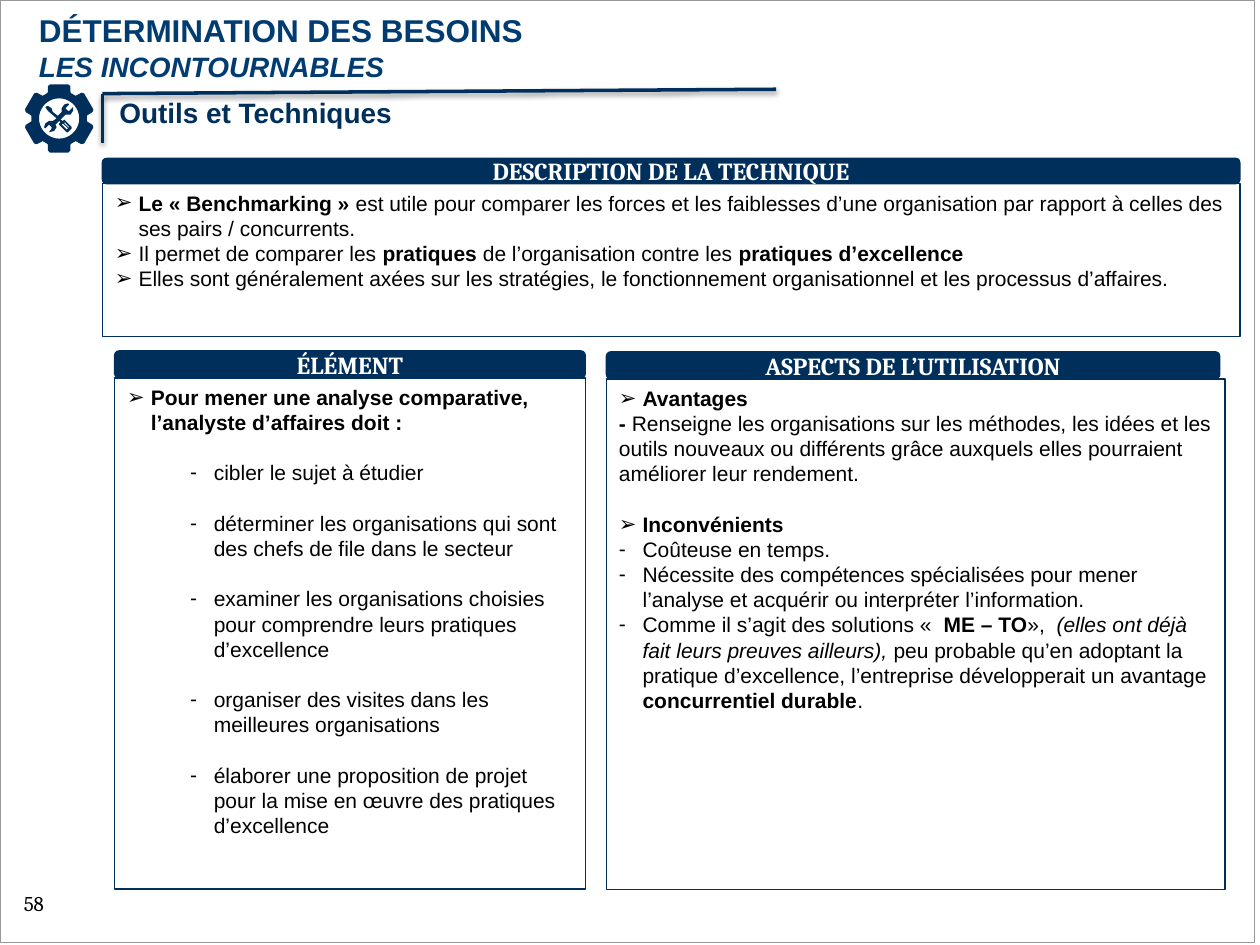
from math import cos, radians, sin

from lxml.etree import SubElement
from pptx import Presentation
from pptx.dml.color import RGBColor
from pptx.enum.shapes import MSO_CONNECTOR, MSO_SHAPE as Shape
from pptx.enum.text import MSO_ANCHOR as Anchor, MSO_AUTO_SIZE as Auto, PP_ALIGN as Align
from pptx.oxml import parse_xml
from pptx.oxml.ns import nsdecls, qn
from pptx.util import Pt

HEX = {"navy": "002F5C", "title": "003C71", "white": "FFFFFF",
       "black": "000000", "frame": "97999B"}
RGB = {name: RGBColor.from_string(code) for name, code in HEX.items()}


def write(para, runs, size, color="black", face="Arial"):
    """Add (text, style) runs, where style holds b for bold and i for italic."""
    for text, style in runs:
        run = para.add_run()
        run.text = text
        font = run.font
        font.name, font.size = face, Pt(size)
        font.bold, font.italic = "b" in style, "i" in style
        font.color.rgb = RGB[color]


def draw(loops):
    """Fill closed loops of points as one navy outline."""
    pen = None
    for loop in loops:
        (x, y), *rest = [(Pt(a), Pt(b)) for a, b in loop]
        if pen is None:
            pen = shapes.build_freeform(x, y)
        else:
            pen.move_to(x, y)
        pen.add_line_segments(rest, close=True)
    shape = pen.convert_to_shape()
    shape.shadow.inherit = False
    shape.fill.solid()
    shape.fill.fore_color.rgb = RGB["navy"]
    shape.line.fill.background()


prs = Presentation()
prs.slide_width, prs.slide_height = Pt(720), Pt(540)
slide = prs.slides.add_slide(prs.slide_layouts[4])
shapes = slide.shapes
holders = {h.placeholder_format.idx: h for h in slide.placeholders}

# Page frame and number
frame = shapes.add_shape(Shape.RECTANGLE, 0, 0, Pt(717), Pt(538.5))
frame.shadow.inherit = False
frame.fill.background()
frame.line.color.rgb = RGB["frame"]
frame.line.width = Pt(0.5)
page = shapes.add_textbox(Pt(6.5), Pt(505.5), Pt(70), Pt(25)).text_frame
page.word_wrap = True
write(page.paragraphs[0], [("58", "")], 12, face="Cambria")

# Headings
heads = [
    (0, (15, 6.5, 642, 48), 0, "title",
     [("DÉTERMINATION DES BESOINS", "b", 18), ("LES INCONTOURNABLES", "bi", 16)]),
    (1, (61, 51, 570, 65), 3.6, "navy", [("Outils et Techniques", "b", 16)]),
]
for idx, box, pad, color, lines in heads:
    head = holders[idx]
    head.left, head.top, head.width, head.height = map(Pt, box)
    frame = head.text_frame
    frame.auto_size, frame.vertical_anchor = Auto.NONE, Anchor.TOP
    frame.margin_top = frame.margin_bottom = Pt(pad)
    para = frame.paragraphs[0]
    para.alignment = Align.LEFT
    para.space_before = Pt(0)
    for row, (text, style, size) in enumerate(lines):
        if row:
            para.add_line_break()
        write(para, [(text, style)], size, color)

# Gear with crossed tools
mid = (33.8, 67.7)
tooth = [(-24, 16), (-19, 19.5), (-15, 20.2), (15, 20.2), (19, 19.5), (24, 16)]
rim = [(turn + a, r) for turn in range(0, 360, 60) for a, r in tooth]
hole = [(a, 11.5) for a in range(0, 360, 10)]
draw([[(mid[0] + r * sin(radians(a)), mid[1] - r * cos(radians(a))) for a, r in loop]
      for loop in (rim, hole)])
tools = [
    [(54, 82), (55, 83), (52, 86), (54, 88), (55, 88), (58, 85), (58, 88), (56, 91),
     (52, 91), (48, 95), (50, 96), (51, 95), (57, 101), (57, 102), (54, 105),
     (53, 105), (47, 99), (47, 98), (48, 97), (47, 96), (44, 99), (45, 101),
     (43, 104), (39, 105), (41, 102), (41, 101), (39, 99), (36, 102), (35, 101),
     (36, 98), (39, 96), (42, 96), (45, 94), (38, 88), (36, 85), (38, 84),
     (41, 86), (42, 89), (46, 92), (49, 89), (49, 86), (51, 83)],
    [(50, 98), (49, 99), (53, 103), (54, 102)],
    [(51.5, 97), (51, 98), (54.5, 101.5), (55, 101)],
]
draw([[(x * 0.72, y * 0.72) for x, y in loop] for loop in tools])

# Rules beside the subtitle
for ends in [(58.5, 81.5, 58.5, 53.5), (58.5, 53.5, 443.5, 51)]:
    rule = shapes.add_connector(MSO_CONNECTOR.STRAIGHT, *map(Pt, ends))
    rule.line.color.rgb = RGB["navy"]
    rule.line.width = Pt(2)
    rule._element.spPr.append(parse_xml(
        f'<a:effectLst {nsdecls("a")}><a:outerShdw blurRad="{Pt(3.1)}" dist="{Pt(1.6)}" '
        f'dir="5400000" rotWithShape="0"><a:srgbClr val="{HEX["black"]}">'
        '<a:alpha val="38000"/></a:srgbClr></a:outerShdw></a:effectLst>'))

# Panels: placeholder, body box, banner box, banner text, paragraphs.
# A paragraph is bullet, left indent, space before, runs.
GAP, STEP, DEEP = 14.4, 13.5, 49.5
tasks = ["cibler le sujet à étudier",
         "déterminer les organisations qui sont des chefs de file dans le secteur",
         "examiner les organisations choisies pour comprendre leurs pratiques d’excellence",
         "organiser des visites dans les meilleures organisations",
         "élaborer une proposition de projet pour la mise en œuvre des pratiques d’excellence"]
panels = [
    (2, (58.5, 105, 650, 87.5), (58.5, 90.5, 650, 14.5), "DESCRIPTION DE LA TECHNIQUE", [
        ("➢", STEP, 0, [
            ("Le «\u00a0Benchmarking\u00a0» ", "b"),
            ("est utile pour comparer les forces et les faiblesses d’une organisation "
             "par rapport à celles des ses pairs / concurrents.", "")]),
        ("➢", STEP, 0, [
            ("Il permet de comparer les ", ""), ("pratiques ", "b"),
            ("de l’organisation contre les ", ""), ("pratiques d’excellence", "b")]),
        ("➢", STEP, 0, [
            ("Elles sont généralement axées sur les stratégies, le fonctionnement "
             "organisationnel et les processus d’affaires.", "")])]),
    (3, (65.5, 216, 269, 292), (65.5, 200.5, 269, 15.5), "ÉLÉMENT", [
        ("➢", STEP, 0, [
            ("Pour mener une analyse comparative, l’analyste d’affaires doit :", "b")]),
        *[("-", DEEP, GAP, [(task, "")]) for task in tasks]]),
    (4, (346.5, 216.5, 353.5, 292), (346.5, 201, 350.5, 15.5), "ASPECTS DE L’UTILISATION", [
        ("➢", STEP, 0, [("Avantages", "b")]),
        (None, 0, 0, [
            ("- ", "b"),
            ("Renseigne les organisations sur les méthodes, les idées et les outils "
             "nouveaux ou différents grâce auxquels elles pourraient améliorer leur "
             "rendement.", "")]),
        ("➢", STEP, GAP, [("Inconvénients", "b")]),
        ("-", STEP, 0, [("Coûteuse en temps.", "")]),
        ("-", STEP, 0, [
            ("Nécessite des compétences spécialisées pour mener l’analyse et acquérir "
             "ou interpréter l’information.", "")]),
        ("-", STEP, 0, [
            ("Comme il s’agit des solutions «\u00a0", ""), ("\u00a0ME – TO", "b"),
            ("»,  ", ""), ("(elles ont déjà fait leurs preuves ailleurs), ", "i"),
            ("peu probable qu’en adoptant la pratique d’excellence, l’entreprise "
             "développerait un avantage ", ""),
            ("concurrentiel durable", "b"), (".", "")])]),
]
for idx, box, bar, label, paras in panels:
    body = holders[idx]
    body.left, body.top, body.width, body.height = map(Pt, box)
    banner = shapes.add_shape(Shape.ROUNDED_RECTANGLE, *map(Pt, bar))
    banner.shadow.inherit = False
    for shape, color in ((body, "white"), (banner, "navy")):
        shape.fill.solid()
        shape.fill.fore_color.rgb = RGB[color]
        shape.line.color.rgb = RGB["navy"]
        shape.line.width = Pt(0.75)

    frame = banner.text_frame
    frame.vertical_anchor = Anchor.MIDDLE
    frame.paragraphs[0].alignment = Align.CENTER
    write(frame.paragraphs[0], [(label, "b")], 14, "white", "Cambria")

    frame = body.text_frame
    frame.auto_size, frame.vertical_anchor = Auto.NONE, Anchor.TOP
    for row, (mark, left, gap, runs) in enumerate(paras):
        para = frame.add_paragraph() if row else frame.paragraphs[0]
        props = para._p.get_or_add_pPr()
        props.set("marL", str(Pt(left)))
        props.set("indent", str(Pt(-STEP if mark else 0)))
        if mark:
            SubElement(props, qn("a:buFont"), typeface="Arial")
            SubElement(props, qn("a:buChar"), char=mark)
        else:
            SubElement(props, qn("a:buNone"))
        para.line_spacing = Pt(GAP)
        para.space_before = Pt(gap)
        write(para, runs, 12)

prs.save("out.pptx")
